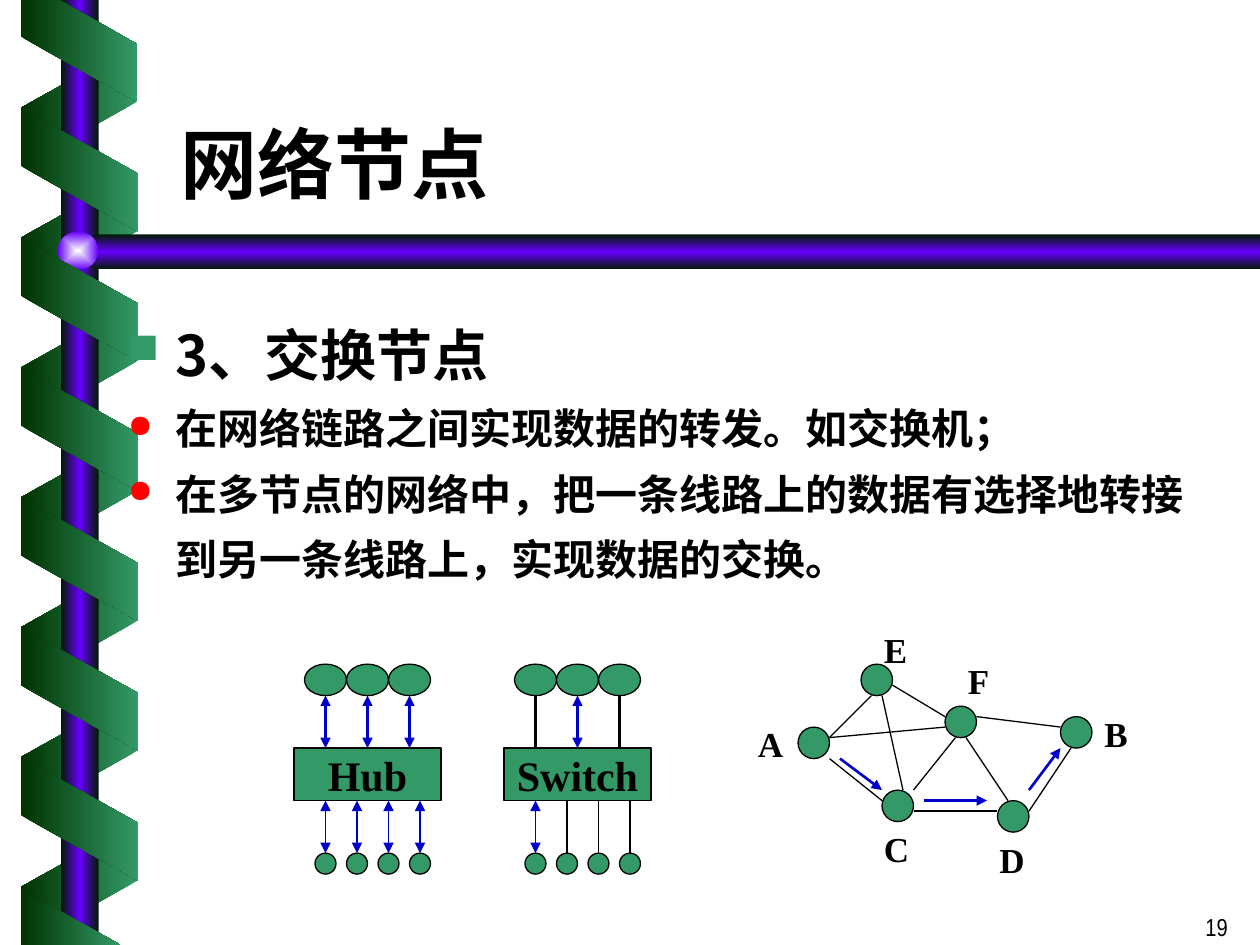
from lxml import etree
from pptx import Presentation
from pptx.dml.color import RGBColor
from pptx.enum.shapes import MSO_CONNECTOR, MSO_SHAPE
from pptx.enum.text import MSO_ANCHOR, PP_ALIGN
from pptx.oxml import parse_xml
from pptx.oxml.ns import nsdecls, qn
from pptx.util import Pt

RECTANGLE, OVAL = MSO_SHAPE.RECTANGLE, MSO_SHAPE.OVAL
PARALLELOGRAM = MSO_SHAPE.PARALLELOGRAM
STRAIGHT = MSO_CONNECTOR.STRAIGHT
TOP, MIDDLE, BOTTOM = MSO_ANCHOR.TOP, MSO_ANCHOR.MIDDLE, MSO_ANCHOR.BOTTOM
LEFT, CENTER, RIGHT = PP_ALIGN.LEFT, PP_ALIGN.CENTER, PP_ALIGN.RIGHT

BLACK = RGBColor(0, 0, 0)
GREEN = RGBColor(0x33, 0x99, 0x66)
DARK_GREEN = RGBColor(0, 0x33, 0)
BLUE = RGBColor(0, 0, 0xCC)
RED = RGBColor(0xFF, 0, 0)
NIGHT = RGBColor(0, 0x1A, 0)
VIOLET = RGBColor(0x66, 0, 0xFF)
PALE = RGBColor(0xFE, 0xFF, 0xFF)
SERIF, NARROW, SANS = "Times New Roman", "Arial Narrow", "Noto Sans CJK SC"

TITLE = "网络节点"
BODY = [  # text, size, font, bullet, bullet colour
    ("3、交换节点", 32, SANS, "■", GREEN),
    ("在网络链路之间实现数据的转发。如交换机；", 24, NARROW, "●", RED),
    ("在多节点的网络中，把一条线路上的数据有选择地转接到另一条线路上，实现数据的交换。",
     24, NARROW, "●", RED),
]
PAGE_NUMBER = "19"

DEVICES = [  # name, left, busy upper links, busy lower links
    ("Switch", 288, {1}, {0}),
    ("Hub", 168, {0, 1, 2}, {0, 1, 2, 3}),
]
NODES = {  # corner of the circle, corner of the label
    "A": ((456, 415.5), (426, 409.5)),
    "B": ((606, 409.5), (624, 403.5)),
    "C": ((504, 451.5), (498, 469.5)),
    "D": ((570, 457.5), (564, 475.5)),
    "E": ((492, 379.5), (498, 355.5)),
    "F": ((540, 403.5), (546, 373.5)),
}
LINKS = [
    ((474, 421.5), (498, 397.5)), ((510, 391.5), (540, 409.5)),
    ((474, 421.5), (540, 415.5)), ((504, 397.5), (516, 451.5)),
    ((522, 463.5), (570, 463.5)), ((588, 463.5), (612, 427.5)),
    ((558, 409.5), (606, 415.5)), ((576, 457.5), (552, 421.5)),
    ((522, 451.5), (546, 421.5)), ((474, 433.5), (504, 457.5)),
]
ROUTE = [
    ((480, 433.5), (504, 451.5)),
    ((528, 457.5), (564, 457.5)),
    ((588, 451.5), (606, 427.5)),
]

RIBBON_STEP = 74.2
RIBBON_TOP_END = [(12, 0), (12, 21), (78.5, 58.5), (78.5, 25), (34, 0)]
RIBBON_BOTTOM_END = [(69, 539.5), (12, 507.5), (12, 540)]
BAR = [(720, 134), (54.5, 134), (43, 144), (54.5, 154), (720, 154)]

presentation = Presentation()
presentation.slide_width, presentation.slide_height = Pt(720), Pt(540)
slide = presentation.slides.add_slide(presentation.slide_layouts[5])
shapes = slide.shapes


def set_gradient(shape, colours, angle=None):
    """Fill with evenly spaced colours; without an angle, outwards from the centre."""
    last = len(colours) - 1
    stops = "".join(
        f'<a:gs pos="{100000 * i // last}"><a:srgbClr val="{colour}"/></a:gs>'
        for i, colour in enumerate(colours))
    if angle is None:
        direction = ('<a:path path="rect"><a:fillToRect l="50000" t="50000" '
                     'r="50000" b="50000"/></a:path>')
    else:
        direction = f'<a:lin ang="{angle * 60000}" scaled="0"/>'
    shape.fill.background()
    properties = shape.element.spPr
    properties.replace(properties.find(qn("a:noFill")), parse_xml(
        f'<a:gradFill {nsdecls("a")} rotWithShape="0"><a:gsLst>{stops}</a:gsLst>'
        f'{direction}</a:gradFill>'))
    shape.line.fill.background()
    shape.shadow.inherit = False


def add_preset(kind, left, top, width, height):
    return shapes.add_shape(kind, Pt(left), Pt(top), Pt(width), Pt(height))


def add_outline(points):
    builder = shapes.build_freeform(*points[0], scale=Pt(1))
    builder.add_line_segments(points[1:], close=True)
    return builder.convert_to_shape()


def add_ribbon(top, height, rotation, colours, flipped=False):
    shape = add_preset(PARALLELOGRAM, 10.1, top, 70.6, height)
    shape.adjustments[0] = 0.56
    shape.rotation = rotation
    if flipped:
        shape.element.spPr.get_or_add_xfrm().set("flipH", "1")
    set_gradient(shape, colours, 0)


def add_green(kind, left, top, width, height):
    shape = add_preset(kind, left, top, width, height)
    shape.fill.solid()
    shape.fill.fore_color.rgb = GREEN
    shape.line.color.rgb = BLACK
    shape.line.width = Pt(0.75)
    shape.shadow.inherit = False
    return shape


def add_line(start, end, colour, width, arrows=()):
    line = shapes.add_connector(STRAIGHT, *map(Pt, start + end))
    line.line.color.rgb = colour
    line.line.width = Pt(width)
    outline = line.line._get_or_add_ln()
    for arrow in arrows:
        etree.SubElement(outline, qn(f"a:{arrow}"), type="triangle")
    etree.SubElement(line.element.spPr, qn("a:effectLst"))


def format_paragraph(paragraph, size, font, bold=True, align=LEFT):
    paragraph.alignment = align
    for run in paragraph.runs:
        run.font.size, run.font.bold, run.font.name = Pt(size), bold, font
        run.font.color.rgb = BLACK
        etree.SubElement(run.font._element, qn("a:ea"), typeface=SANS)


def set_text(shape, text, size, font, anchor=TOP, wrap=True, **style):
    frame = shape.text_frame
    frame.text = text
    frame.word_wrap = wrap
    frame.vertical_anchor = anchor
    format_paragraph(frame.paragraphs[0], size, font, **style)


def add_bullet(paragraph, symbol, colour):
    properties = paragraph._p.get_or_add_pPr()
    properties.set("marL", str(Pt(27)))
    properties.set("indent", str(-Pt(27)))
    bullet_colour = etree.SubElement(properties, qn("a:buClr"))
    etree.SubElement(bullet_colour, qn("a:srgbClr"), val=str(colour))
    etree.SubElement(properties, qn("a:buSzPct"), val="75000")
    etree.SubElement(properties, qn("a:buChar"), char=symbol)


# Ribbon wound round the post, with the crossbar
for i in range(7):
    add_ribbon(26.6 + RIBBON_STEP * i, 66.2, 90, (GREEN, DARK_GREEN), flipped=True)
set_gradient(add_preset(RECTANGLE, 34.8, 0, 21.6, 540), (NIGHT, VIOLET, NIGHT), 0)
set_gradient(add_outline(BAR), (NIGHT, VIOLET, NIGHT), 90)
set_gradient(add_preset(OVAL, 33.1, 132.5, 23, 21.6), (PALE, VIOLET))
for i in range(6):
    add_ribbon(63.5 + RIBBON_STEP * i, 67, 270, (DARK_GREEN, GREEN))
for points in (RIBBON_TOP_END, RIBBON_BOTTOM_END):
    set_gradient(add_outline(points), (DARK_GREEN, GREEN), 0)

# Text
title = shapes.title
title.left, title.top, title.width, title.height = map(Pt, (96, 33, 612, 90))
set_text(title, TITLE, 44, SERIF, anchor=BOTTOM)
number_box = shapes.add_textbox(*map(Pt, (558.7, 517.7, 150, 36)))
set_text(number_box, PAGE_NUMBER, 14, NARROW, bold=False, align=RIGHT)
body = shapes.add_textbox(*map(Pt, (66, 168, 636, 175.5))).text_frame
body.word_wrap = True
body.text = "\n".join(item[0] for item in BODY)
for paragraph, (_, size, font, symbol, colour) in zip(body.paragraphs, BODY):
    paragraph.line_spacing = 1.3
    add_bullet(paragraph, symbol, colour)
    format_paragraph(paragraph, size, font)

# Hub and switch
for name, left, busy_upper, busy_lower in DEVICES:
    set_text(add_green(RECTANGLE, left, 427.5, 84, 30), name, 24, SERIF,
             anchor=MIDDLE, wrap=False, align=CENTER)
    rows = [  # count, gap, busy links, line ends, line width, oval top, oval size
        (3, 24, busy_upper, (427.5, 397.5), 1.5, 379.5, (24, 18)),
        (4, 18, busy_lower, (487.5, 457.5), 1, 487.5, (12, 12)),
    ]
    for count, gap, busy, (start, end), width, top, size in rows:
        for i in range(count):
            x = left + 18 + gap * i
            colour, arrows = (BLUE, ("headEnd", "tailEnd")) if i in busy else (BLACK, ())
            add_line((x, start), (x, end), colour, width, arrows)
            add_green(OVAL, x - size[0] / 2, top, *size)

# Mesh network
for name, (corner, label_corner) in NODES.items():
    add_green(OVAL, *corner, 18, 18)
    label = shapes.add_textbox(*map(Pt, label_corner + (30, 31.5)))
    set_text(label, name, 20, SERIF)
for start, end in LINKS:
    add_line(start, end, BLACK, 0.75)
for start, end in ROUTE:
    add_line(start, end, BLUE, 1.5, ("tailEnd",))

presentation.save("out.pptx")
